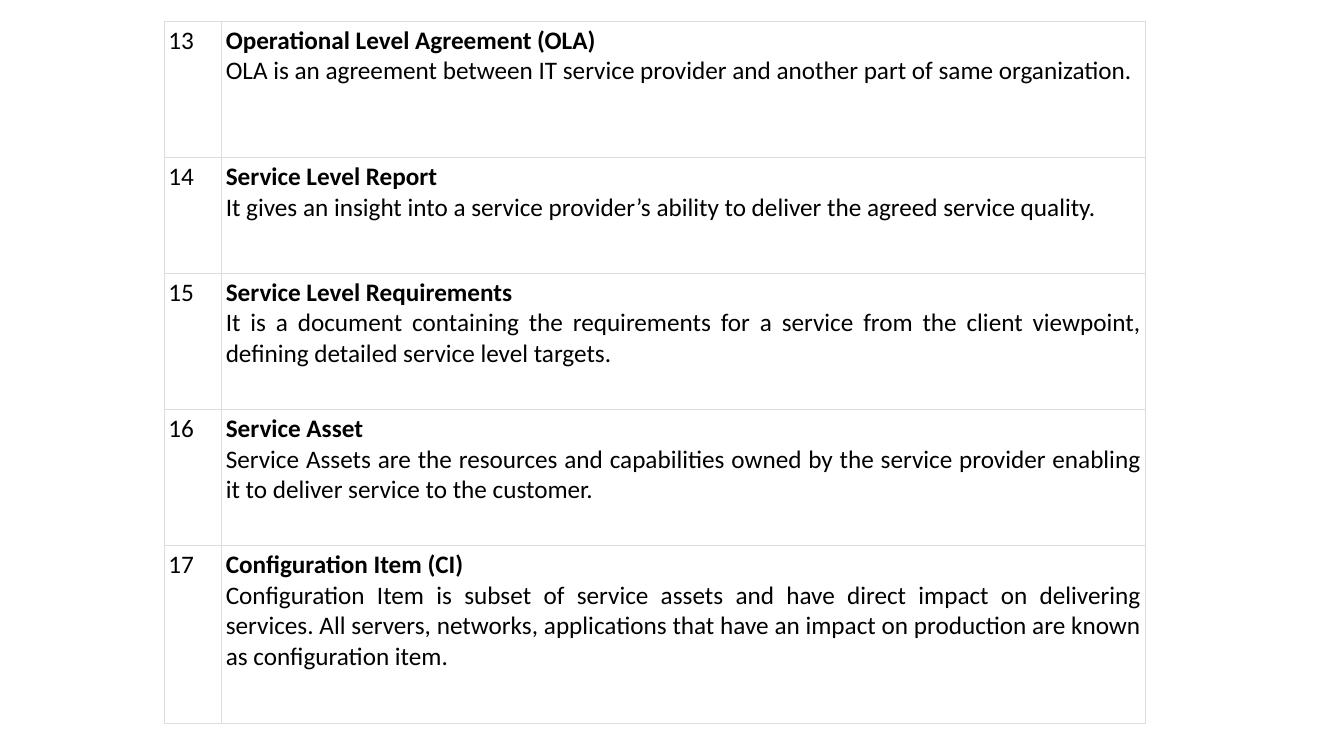
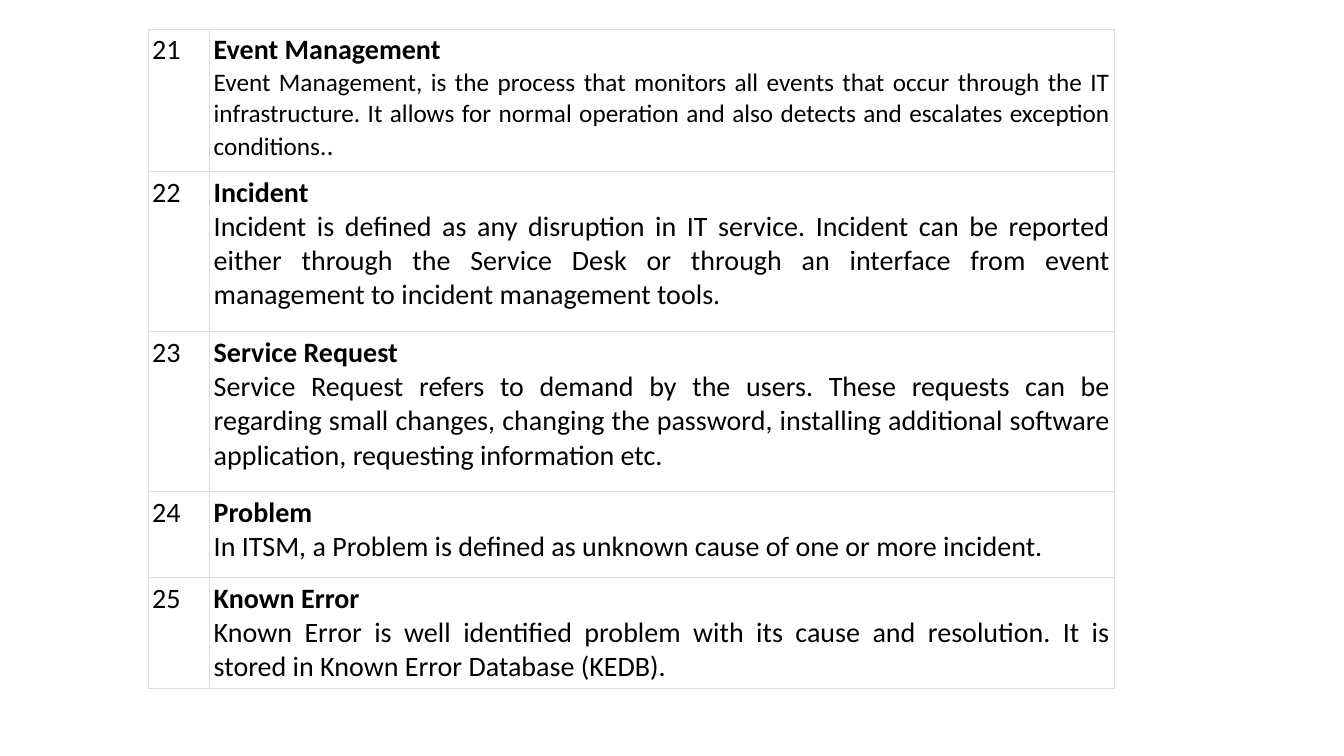
import pptx
import pptx.util
import pptx.dml.color
import pptx.enum.text
import pptx.oxml
import pptx.oxml.ns

Inches = pptx.util.Inches
Pt = pptx.util.Pt

COLORS = {"text": "000000", "border": "DDDDDD", "cell": "FFFFFF"}
FONT = "Calibri"
CELL_MARGIN = 0.04
BORDER_WIDTH = 0.75

# Each entry is a term, its definition as (text, size) spans, and its row height.
GLOSSARY_PAGES = [
    {
        "left": 1.63, "top": 0.21, "columns": (0.57, 9.16),
        "first_number": 13, "size": 18,
        "entries": [
            ("Operational Level Agreement (OLA)",
             [("OLA is an agreement between IT service provider and another part of "
               "same organization.", 18)], 1.35),
            ("Service Level Report",
             [("It gives an insight into a service provider’s ability to deliver the "
               "agreed service quality.", 18)], 1.15),
            ("Service Level Requirements",
             [("It is a document containing the requirements for a service from the "
               "client viewpoint, defining detailed service level targets.", 18)], 1.35),
            ("Service Asset",
             [("Service Assets are the resources and capabilities owned by the service "
               "provider enabling it to deliver service to the customer.", 18)], 1.35),
            ("Configuration Item (CI)",
             [("Configuration Item is subset of service assets and have direct impact on "
               "delivering services. All servers, networks, applications that have an "
               "impact on production are known as configuration item.", 18)], 1.77),
        ],
    },
    {
        "left": 1.47, "top": 0.29, "columns": (0.61, 8.97),
        "first_number": 21, "size": 20,
        "entries": [
            ("Event Management",
             [("Event Management, is the process that monitors all events that occur "
               "through the IT infrastructure. It allows for normal operation and also "
               "detects and escalates exception conditions.", 18), (".", 20)], 1.41),
            ("Incident",
             [("Incident is defined as any disruption in IT service. Incident can be "
               "reported either through the Service Desk or through an interface from "
               "event management to incident management tools.", 20)], 1.59),
            ("Service Request",
             [("Service Request refers to demand by the users. These requests can be "
               "regarding small changes, changing the password, installing additional "
               "software application, requesting information etc.", 20)], 1.59),
            ("Problem",
             [("In ITSM, a Problem is defined as unknown cause of one or more "
               "incident.", 20)], 0.85),
            ("Known Error",
             [("Known Error is well identified problem with its cause and resolution. It "
               "is stored in Known Error Database (KEDB).", 20)], 1.03),
        ],
    },
]


def style_cell(cell):
    """Give a cell its margins, thin border and plain fill."""
    cell.margin_left = cell.margin_right = Inches(CELL_MARGIN)
    cell.margin_top = cell.margin_bottom = Inches(CELL_MARGIN)
    properties = cell._tc.get_or_add_tcPr()
    for side in ("lnL", "lnR", "lnT", "lnB"):
        properties.append(pptx.oxml.parse_xml(
            f'<a:{side} {pptx.oxml.ns.nsdecls("a")} w="{Pt(BORDER_WIDTH)}">'
            f'<a:solidFill><a:srgbClr val="{COLORS["border"]}"/></a:solidFill>'
            f'</a:{side}>'))
    cell.fill.solid()
    cell.fill.fore_color.rgb = pptx.dml.color.RGBColor.from_string(COLORS["cell"])


def write_paragraph(para, spans, bold=False, justified=False):
    """Write (text, size) spans into a paragraph in the glossary font."""
    para.font.name = FONT
    para.font.bold = bold
    para.font.color.rgb = pptx.dml.color.RGBColor.from_string(COLORS["text"])
    para.font.size = Pt(spans[0][1])
    if justified:
        para.alignment = pptx.enum.text.PP_ALIGN.JUSTIFY
    for text, size in spans:
        span = para.add_run()
        span.text = text
        span.font.name = FONT
        span.font.bold = bold
        span.font.size = Pt(size)


def add_glossary(deck, content):
    """Add a page with a table of numbered terms and definitions."""
    page = deck.slides.add_slide(deck.slide_layouts[6])
    entries, columns = content["entries"], content["columns"]
    height = sum(row_height for _, _, row_height in entries)
    table = page.shapes.add_table(
        len(entries), len(columns), Inches(content["left"]), Inches(content["top"]),
        Inches(sum(columns)), Inches(height)).table
    table.first_row = False
    table.horz_banding = False
    for column, width in zip(table.columns, columns):
        column.width = Inches(width)

    size = content["size"]
    for index, (term, definition, row_height) in enumerate(entries):
        row = table.rows[index]
        row.height = Inches(row_height)
        number_cell, term_cell = row.cells
        style_cell(number_cell)
        style_cell(term_cell)
        number = str(content["first_number"] + index)
        write_paragraph(number_cell.text_frame.paragraphs[0], [(number, size)])
        frame = term_cell.text_frame
        write_paragraph(frame.paragraphs[0], [(term, size)], bold=True, justified=True)
        write_paragraph(frame.add_paragraph(), definition, justified=True)


deck = pptx.Presentation()
deck.slide_width = Inches(13.33)
deck.slide_height = Inches(7.5)
for glossary_page in GLOSSARY_PAGES:
    add_glossary(deck, glossary_page)
deck.save("out.pptx")
